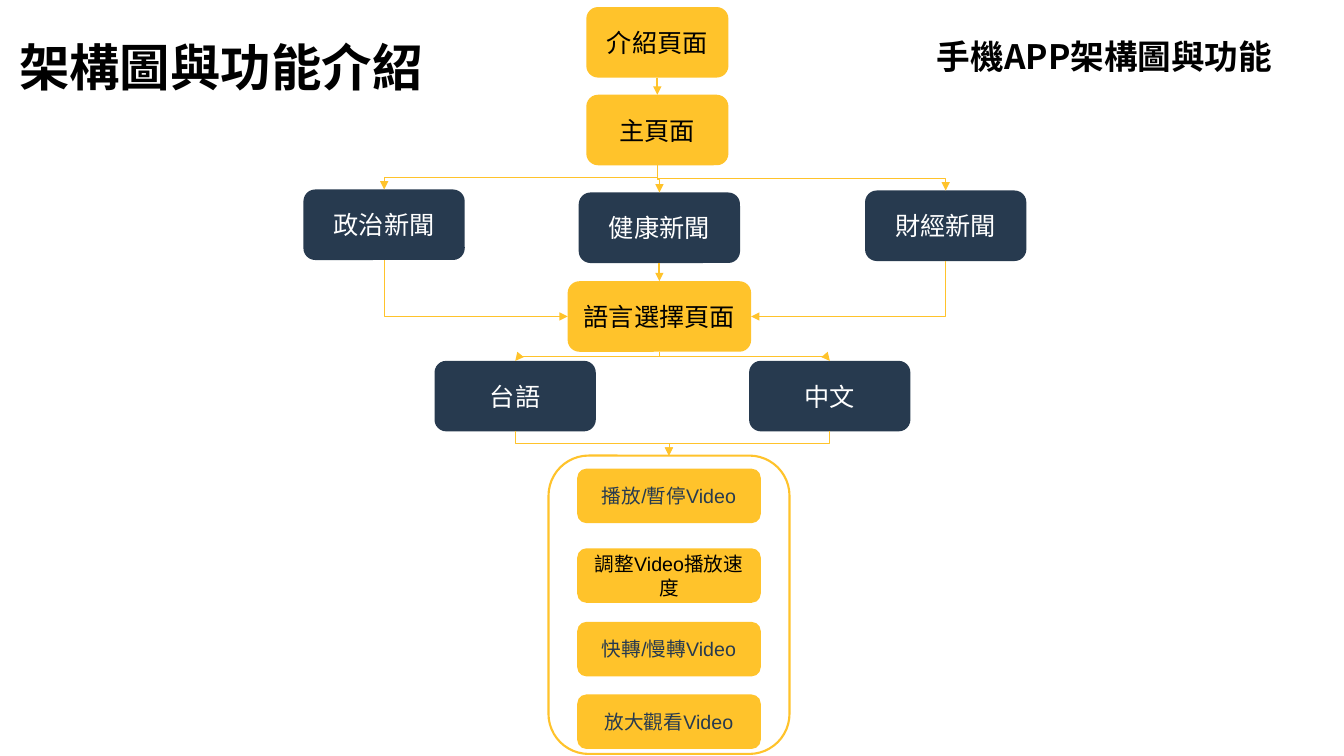
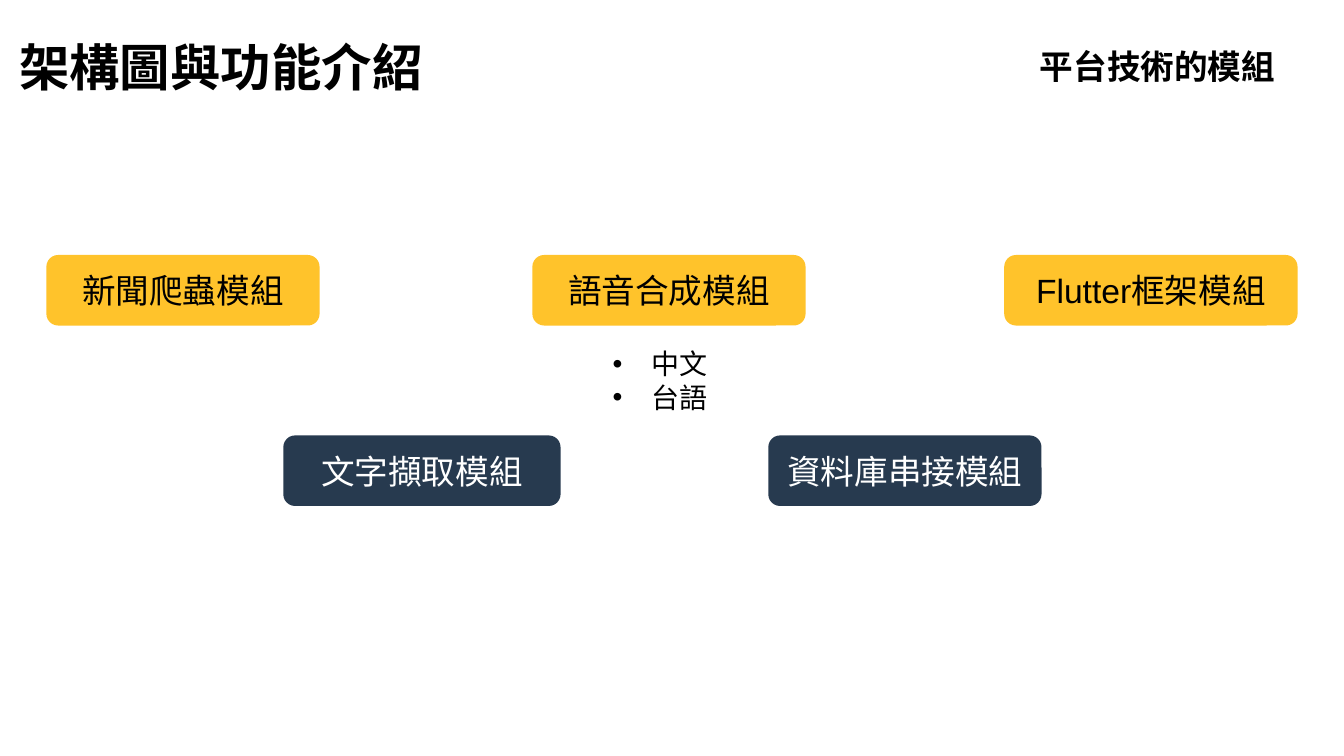
"""Builds two slides: the app page flow and the platform modules."""
import pptx
import pptx.util
import pptx.dml.color
import pptx.enum.shapes
import pptx.enum.text
import pptx.oxml
import pptx.oxml.ns

Inches, Pt = pptx.util.Inches, pptx.util.Pt
qn = pptx.oxml.ns.qn
SHAPE = pptx.enum.shapes.MSO_SHAPE.ROUNDED_RECTANGLE
CONNECTOR = pptx.enum.shapes.MSO_CONNECTOR
ALIGN = pptx.enum.text.PP_ALIGN
ANCHOR = pptx.enum.text.MSO_ANCHOR

COLOURS = {"gold": "FFC32B", "navy": "273A4F", "white": "FFFFFF", "black": "000000"}
LATIN, HAN = "Arial", "Noto Sans CJK SC"
TITLE = "架構圖與功能介紹"
TITLE_BOX = (0.07, 0.31, 4.24, 0.71)
BOX_HEIGHT = 0.7
STYLES = {"gold": ("gold", "black"), "navy": ("navy", "white"), "muted": ("gold", "navy")}

FLOW_HEADING = ("手機APP架構圖與功能", (9.16, 0.31, 3.59, 0.5))
FLOW_PAGES = {
    "intro": ("介紹頁面", 6.52, 0.07, 1.41, "gold"),
    "main": ("主頁面", 6.52, 0.94, 1.41, "gold"),
    "politics": ("政治新聞", 3.81, 1.88, 1.6, "navy"),
    "health": ("健康新聞", 6.54, 1.91, 1.6, "navy"),
    "finance": ("財經新聞", 9.38, 1.89, 1.6, "navy"),
    "language": ("語言選擇頁面", 6.54, 2.79, 1.82, "gold"),
    "taiwanese": ("台語", 5.11, 3.58, 1.6, "navy"),
    "mandarin": ("中文", 8.23, 3.58, 1.6, "navy"),
}
PLAYER_BOX = (5.44, 4.52, 2.39, 2.96)
PLAYER_FEATURES = [
    ("播放/暫停Video", 4.65, "muted"),
    ("調整Video播放速度", 5.44, "gold"),
    ("快轉/慢轉Video", 6.17, "muted"),
    ("放大觀看Video", 6.89, "muted"),
]
FEATURE_SIZE = (1.82, 0.54)
FLOW_LINKS = [
    ("intro", "main", "top"),
    ("main", "politics", "top"),
    ("main", "health", "top"),
    ("main", "finance", "top"),
    ("politics", "language", "left"),
    ("health", "language", "top"),
    ("finance", "language", "right"),
    ("language", "taiwanese", "top"),
    ("language", "mandarin", "top"),
    ("taiwanese", "player", "top"),
    ("mandarin", "player", "top"),
]
SITES = {"top": 0, "left": 1, "bottom": 2, "right": 3}

MODULE_HEADING = ("平台技術的模組", (10.2, 0.41, 2.56, 0.5))
MODULE_ROWS = [
    (2.53, "gold", [("新聞爬蟲模組", 0.46, 2.71), ("語音合成模組", 5.28, 2.71),
                    ("Flutter框架模組", 9.96, 2.91)]),
    (4.32, "navy", [("文字擷取模組", 2.81, 2.75), ("資料庫串接模組", 7.62, 2.71)]),
]
VOICES = ["中文", "台語"]
VOICES_BOX = (5.47, 3.39, 2.15, 0.77)


def colour(name):
    return pptx.dml.color.RGBColor.from_string(COLOURS[name])


def inches(box):
    return [Inches(length) for length in box]


def add_run(paragraph, text, size, colour_name, latin=LATIN, bold=False):
    paragraph.alignment = ALIGN.CENTER
    run = paragraph.add_run()
    run.text = text
    run.font.size, run.font.bold, run.font.name = Pt(size), bold, latin
    run.font.color.rgb = colour(colour_name)
    east_asian = pptx.oxml.parse_xml(
        f'<a:ea {pptx.oxml.ns.nsdecls("a")} typeface="{HAN}"/>')
    run.font._element.find(qn("a:latin")).addnext(east_asian)


def write_heading(shape, text, size):
    frame = shape.text_frame
    frame.word_wrap = True
    frame.auto_size = pptx.enum.text.MSO_AUTO_SIZE.NONE
    frame.vertical_anchor = ANCHOR.TOP
    add_run(frame.paragraphs[0], text, size, "black", HAN, True)


def add_titled_slide(presentation, heading):
    slide = presentation.slides.add_slide(presentation.slide_layouts[5])
    title = slide.shapes.title
    title.left, title.top, title.width, title.height = inches(TITLE_BOX)
    write_heading(title, TITLE, 36)
    text, box = heading
    write_heading(slide.shapes.add_textbox(*inches(box)), text, 24)
    return slide


def add_box(slide, box, style, text, size):
    fill, ink = STYLES[style]
    shape = slide.shapes.add_shape(SHAPE, *inches(box))
    shape.shadow.inherit = False
    shape.fill.solid()
    shape.fill.fore_color.rgb = colour(fill)
    shape.line.fill.background()
    shape.text_frame.word_wrap = True
    shape.text_frame.vertical_anchor = ANCHOR.MIDDLE
    add_run(shape.text_frame.paragraphs[0], text, size, ink)
    return shape


def add_player_panel(slide):
    panel = slide.shapes.add_shape(SHAPE, *inches(PLAYER_BOX))
    panel.shadow.inherit = False
    panel.fill.solid()
    panel.fill.fore_color.rgb = colour("white")
    panel.line.color.rgb = colour("gold")
    panel.line.width = Pt(1.5)
    return panel


def site_point(shape, side):
    across = {"left": 0, "right": 1}.get(side, 0.5)
    down = {"top": 0, "bottom": 1}.get(side, 0.5)
    return int(shape.left + across * shape.width), int(shape.top + down * shape.height)


def turn_downward(connector, start, end):
    (start_x, start_y), (end_x, end_y) = start, end
    run, drop = abs(end_x - start_x), abs(end_y - start_y)
    connector.left = (start_x + end_x - drop) // 2
    connector.top = (start_y + end_y - run) // 2
    connector.width, connector.height = drop, run
    transform = connector._element.spPr.find(qn("a:xfrm"))
    for flip in ("flipH", "flipV"):
        transform.attrib.pop(flip, None)
    if end_x > start_x:
        transform.set("rot", "16200000")
        transform.set("flipH", "1")
    else:
        transform.set("rot", "5400000")


def link(slide, source, target, side):
    start, end = site_point(source, "bottom"), site_point(target, side)
    straight = start[0] == end[0]
    kind = CONNECTOR.STRAIGHT if straight else CONNECTOR.ELBOW
    connector = slide.shapes.add_connector(kind, *start, *end)
    connector.begin_connect(source, SITES["bottom"])
    connector.end_connect(target, SITES[side])
    properties = connector._element.spPr
    if not straight:
        turn_downward(connector, start, end)
    if side != "top":
        properties.find(qn("a:prstGeom")).set("prst", "bentConnector2")
    connector.line.color.rgb = colour("gold")
    connector.line.width = Pt(1.5 if straight else 0.5)
    arrowhead = pptx.oxml.parse_xml(
        f'<a:tailEnd {pptx.oxml.ns.nsdecls("a")} type="triangle"/>')
    properties.find(qn("a:ln")).append(arrowhead)
    properties.append(pptx.oxml.parse_xml(f'<a:effectLst {pptx.oxml.ns.nsdecls("a")}/>'))


def build_flow(presentation):
    slide = add_titled_slide(presentation, FLOW_HEADING)
    pages = {"player": add_player_panel(slide)}
    for name, (text, centre, top, width, style) in FLOW_PAGES.items():
        box = (centre - width / 2, top, width, BOX_HEIGHT)
        pages[name] = add_box(slide, box, style, text, 18)
    feature_left = PLAYER_BOX[0] + (PLAYER_BOX[2] - FEATURE_SIZE[0]) / 2
    for text, top, style in PLAYER_FEATURES:
        add_box(slide, (feature_left, top, *FEATURE_SIZE), style, text, 14)
    for source, target, side in FLOW_LINKS:
        link(slide, pages[source], pages[target], side)


def build_modules(presentation):
    slide = add_titled_slide(presentation, MODULE_HEADING)
    for top, style, modules in MODULE_ROWS:
        for text, left, width in modules:
            add_box(slide, (left, top, width, BOX_HEIGHT), style, text, 24)
    frame = slide.shapes.add_textbox(*inches(VOICES_BOX)).text_frame
    frame.word_wrap = True
    for index, voice in enumerate(VOICES):
        paragraph = frame.add_paragraph() if index else frame.paragraphs[0]
        add_run(paragraph, voice, 20, "black")
        settings = paragraph._p.get_or_add_pPr()
        settings.set("marL", str(Inches(0.38)))
        settings.set("indent", str(-Inches(0.38)))
        for tag in ('buFont typeface="Arial"', 'buChar char="•"'):
            settings.append(pptx.oxml.parse_xml(
                f'<a:{tag} {pptx.oxml.ns.nsdecls("a")}/>'))


def main():
    presentation = pptx.Presentation()
    presentation.slide_width, presentation.slide_height = Inches(13.33), Inches(7.5)
    build_flow(presentation)
    build_modules(presentation)
    presentation.save("out.pptx")


if __name__ == "__main__":
    main()
